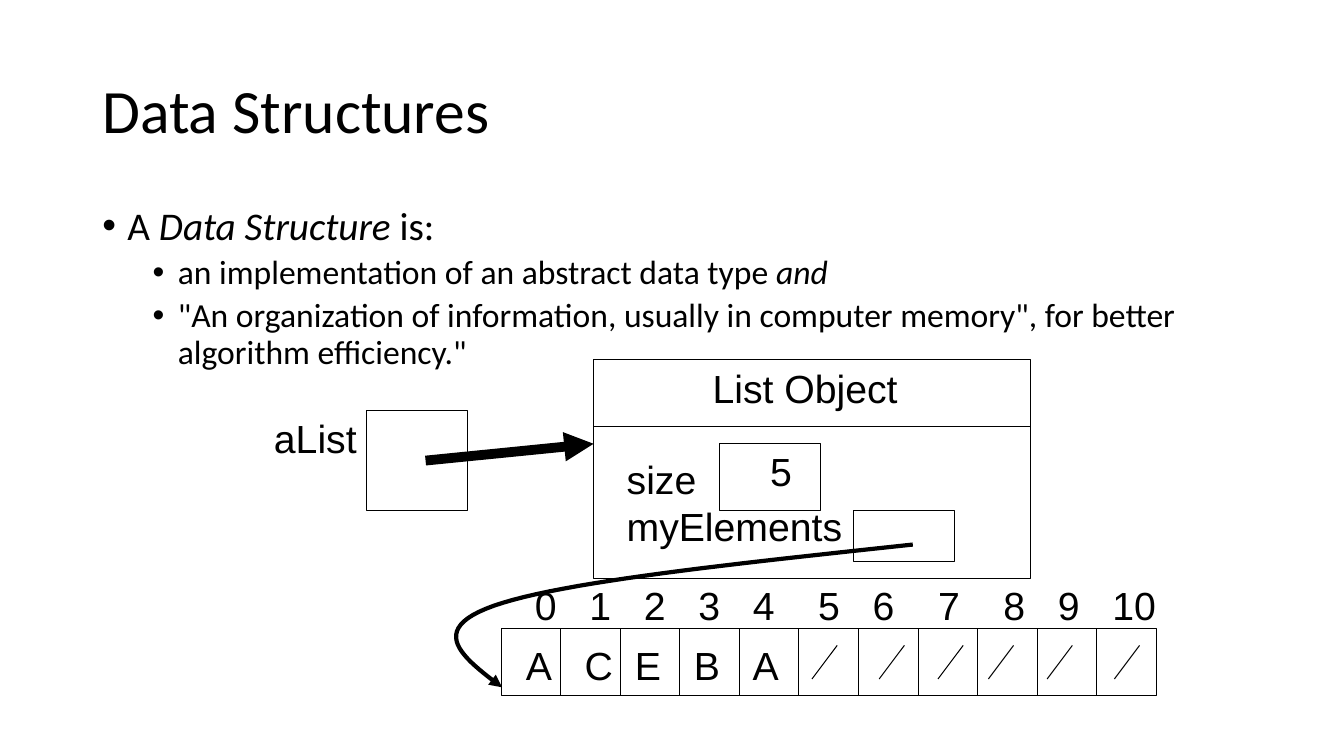
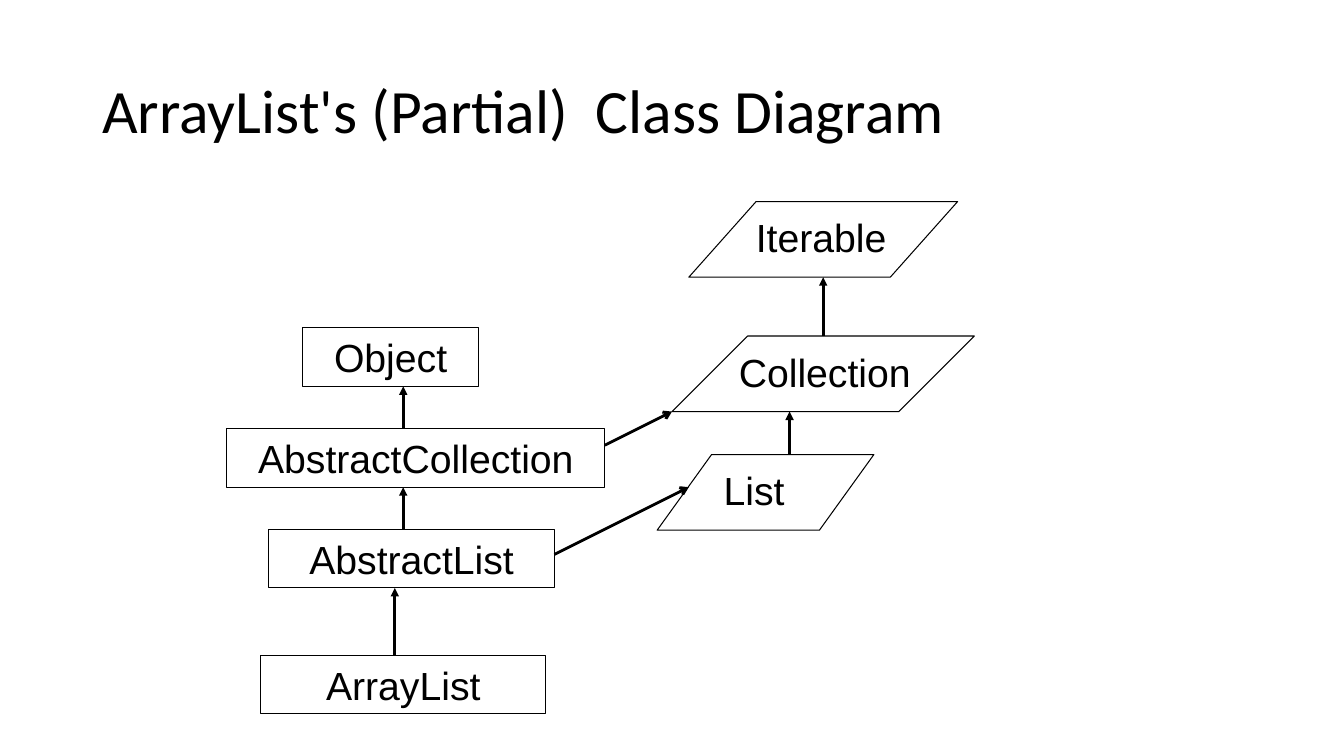
from lxml import etree
from pptx import Presentation
from pptx.dml.color import RGBColor
from pptx.enum.shapes import MSO_CONNECTOR, MSO_SHAPE
from pptx.enum.text import MSO_ANCHOR, PP_ALIGN
from pptx.oxml.ns import qn
from pptx.util import Pt

BLACK = RGBColor(0, 0, 0)
HEAD_FONT = "Calibri"
DRAW_FONT = "Arial"
THIN, BOLD = 0.75, 2
ROW = 41  # height of a one-line label


class Deck:
    """Holds the shared style and the current slide."""

    def __init__(self):
        self.prs = Presentation()
        self.prs.slide_width = Pt(960)
        self.prs.slide_height = Pt(540)

    # Slide with its title
    def start(self, title):
        self.slide = self.prs.slides.add_slide(self.prs.slide_layouts[6])
        frame = self.frame(66, 28.75, 828, 104.4)
        frame.vertical_anchor = MSO_ANCHOR.MIDDLE
        para = frame.paragraphs[0]
        para.line_spacing = 0.9
        self.run(para, title, 44, HEAD_FONT)

    # Text
    def frame(self, x, y, w, h, wrap=True):
        box = self.slide.shapes.add_textbox(Pt(x), Pt(y), Pt(w), Pt(h))
        box.text_frame.word_wrap = wrap
        return box.text_frame

    def run(self, para, text, size=28, font=DRAW_FONT, slant=False):
        run = para.add_run()
        run.text = text
        run.font.size = Pt(size)
        run.font.name = font
        run.font.italic = slant
        run.font.color.rgb = BLACK

    def paras(self, frame, count):
        return [frame.paragraphs[0]] + [frame.add_paragraph() for _ in range(count - 1)]

    def label(self, x, y, w, *lines):
        frame = self.frame(x, y, w, ROW * len(lines), wrap=False)
        for para, line in zip(self.paras(frame, len(lines)), lines):
            self.run(para, line)

    def bullets(self, x, y, w, h, items):
        frame = self.frame(x, y, w, h)
        for para, (level, parts) in zip(self.paras(frame, len(items)), items):
            para.level = level
            para.line_spacing = 0.9
            para.space_before = Pt(5 if level else 10)
            props = para._p.get_or_add_pPr()
            props.set("marL", str(Pt(18 + 36 * level)))
            props.set("indent", str(Pt(-18)))
            etree.SubElement(props, qn("a:buFont"), typeface="Arial")
            etree.SubElement(props, qn("a:buChar"), char="•")
            for text, slant in parts:
                self.run(para, text, 24 if level else 28, HEAD_FONT, slant)

    def tabbed(self, x, y, w, words, stops):
        para = self.frame(x, y, w, ROW).paragraphs[0]
        tabs = etree.SubElement(para._p.get_or_add_pPr(), qn("a:tabLst"))
        for stop in stops:
            etree.SubElement(tabs, qn("a:tab"), pos=str(Pt(stop)), algn="l")
        self.run(para, "\t".join(words))

    # Outlines
    def ink(self, shape, width, head=None):
        shape.line.color.rgb = BLACK
        shape.line.width = Pt(width)
        if head:
            etree.SubElement(shape.line._get_or_add_ln(), qn("a:tailEnd"), type=head)

    def shape(self, kind, x, y, w, h):
        shape = self.slide.shapes.add_shape(kind, Pt(x), Pt(y), Pt(w), Pt(h))
        shape.shadow.inherit = False
        shape.fill.background()
        self.ink(shape, THIN)
        return shape

    def box(self, x, y, w, h, text=None):
        shape = self.shape(MSO_SHAPE.RECTANGLE, x, y, w, h)
        if text:
            frame = shape.text_frame
            frame.word_wrap = True
            frame.vertical_anchor = MSO_ANCHOR.MIDDLE
            frame.paragraphs[0].alignment = PP_ALIGN.CENTER
            self.run(frame.paragraphs[0], text)

    def slant(self, x, y, w, h, skew):
        self.shape(MSO_SHAPE.PARALLELOGRAM, x, y, w, h).adjustments[0] = skew

    def line(self, x1, y1, x2, y2, width=THIN, head=None):
        line = self.slide.shapes.add_connector(
            MSO_CONNECTOR.STRAIGHT, Pt(x1), Pt(y1), Pt(x2), Pt(y2))
        self.ink(line, width, head)
        etree.SubElement(line._element.spPr, qn("a:effectLst"))

    def curve(self, start, bends, width, head, steps=24):
        pen = self.slide.shapes.build_freeform(Pt(start[0]), Pt(start[1]))
        dots = []
        for one, two, end in bends:
            for step in range(1, steps + 1):
                t = step / steps
                u = 1 - t
                dots.append(tuple(
                    Pt(u**3 * a + 3 * u * u * t * b + 3 * u * t * t * c + t**3 * d)
                    for a, b, c, d in zip(start, one, two, end)))
            start = end
        pen.add_line_segments(dots, close=False)
        shape = pen.convert_to_shape()
        shape.shadow.inherit = False
        shape.fill.background()
        self.ink(shape, width)
        etree.SubElement(shape.line._get_or_add_ln(), qn("a:round"))
        self.ink(shape, width, head)


deck = Deck()

# Slide 1: data structures
deck.start("Data Structures")
deck.bullets(66, 143.75, 828, 342.6, [
    (0, [("A ", False), ("Data Structure ", True), ("is:", False)]),
    (1, [("an implementation of an abstract data type ", False), ("and", True)]),
    (1, [('"An organization of information, usually in computer memory", '
          'for better algorithm efficiency."', False)]),
])

# List variable and list object
deck.label(188.6, 292.3, 73.4, "aList")
deck.box(262, 293, 72, 72)
deck.box(424, 257, 312, 156)
deck.label(502, 257, 147, "List Object")
deck.line(424, 305, 736, 305)
deck.label(440.6, 321.8, 168.5, "size", "myElements")
deck.box(514, 317, 72, 48)
deck.box(610, 365, 72, 36)
deck.line(304, 329, 424, 317, 7, "triangle")
deck.label(543, 316, 30, "5")

# Array cells
LEFT, TOP, WIDE, HIGH, CELLS = 358, 449, 468, 48, 11
deck.box(LEFT, TOP, WIDE, HIGH)
for cell in range(1, CELLS):
    x = LEFT + cell * WIDE / CELLS
    deck.line(x, TOP, x, TOP + HIGH)
deck.tabbed(368.6, 454.3, 200, "ACEBA", [42, 77.8, 119.9, 161.9])
for x in (580, 628, 670, 706, 748, 796):
    deck.line(x, 485, x + 18, 461)

# Pointer to the array, and the index row
deck.curve((652, 389), [
    ((527, 402.5), (401.8, 415.4), (352.8, 432.7)),
    ((303.8, 450), (331.2, 470.2), (358.6, 491)),
], 3, "triangle")
deck.tabbed(375, 412, 462, [str(n) for n in range(CELLS)],
            [38.9, 77.8, 116.8, 155.7, 202.4, 241.3, 288, 334.7, 373.6, 412.5])

# Slide 2: class diagram
deck.start("ArrayList's (Partial)  Class Diagram")

# Classes
for name, x, y, w in (("AbstractCollection", 162, 306, 270),
                      ("Object", 216, 234, 126),
                      ("AbstractList", 192, 378, 204),
                      ("ArrayList", 186, 468, 204)):
    deck.box(x, y, w, 42, name)

# Interfaces
for name, x, y, w, skew, left, wide in (
        ("Iterable", 492, 144, 192, 0.89, 532.8, 108),
        ("Collection", 480, 240, 216, 1, 520.6, 137.5),
        ("List", 469.4, 324.7, 154.8, 0.72, 509.8, 58.3)):
    deck.slant(x, y, w, 54, skew)
    deck.label(left, y + 5, wide, name)

# Parent links
for x, low, high in ((288, 306, 276), (288, 378, 348), (282, 468, 420),
                     (588, 240, 198), (564, 324, 294)):
    deck.line(x, low, x, high, BOLD, "triangle")
for ends in ((432, 318, 480, 294), (396, 396, 492, 348)):
    deck.line(*ends, BOLD, "arrow")

deck.prs.save("out.pptx")
